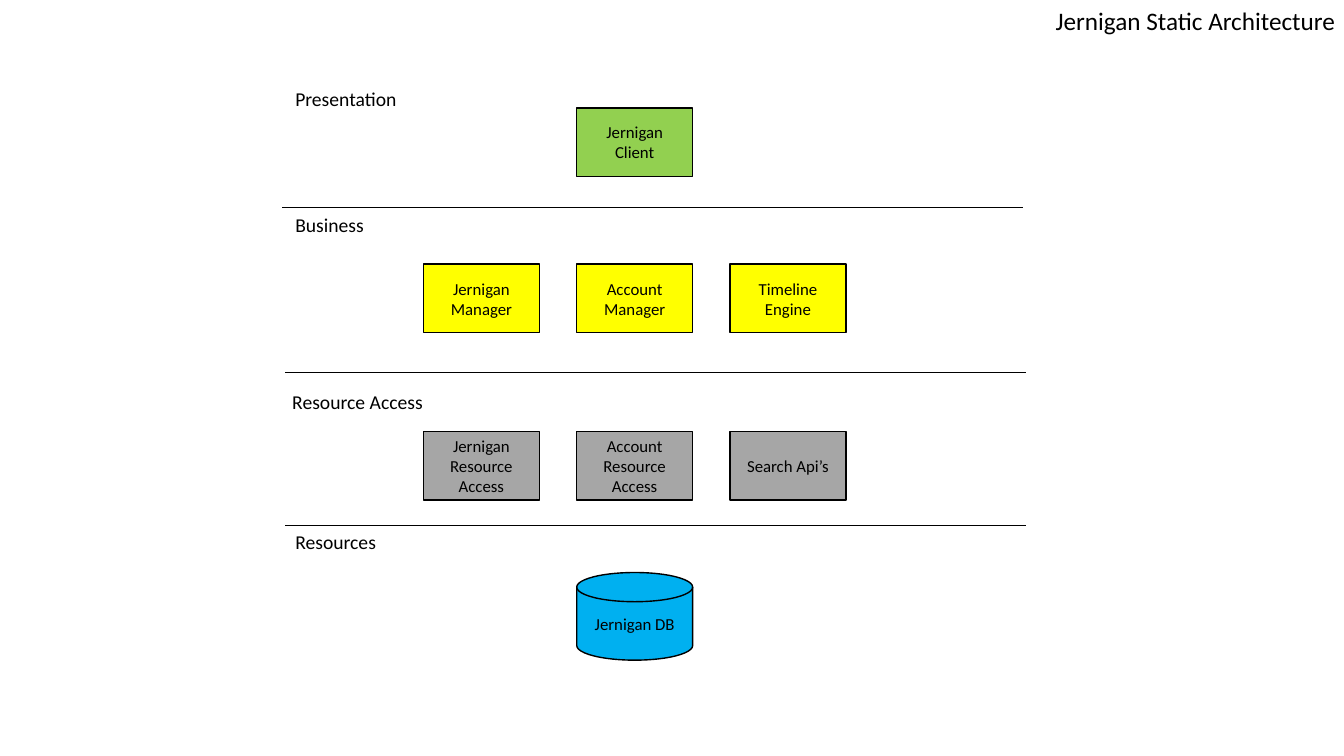
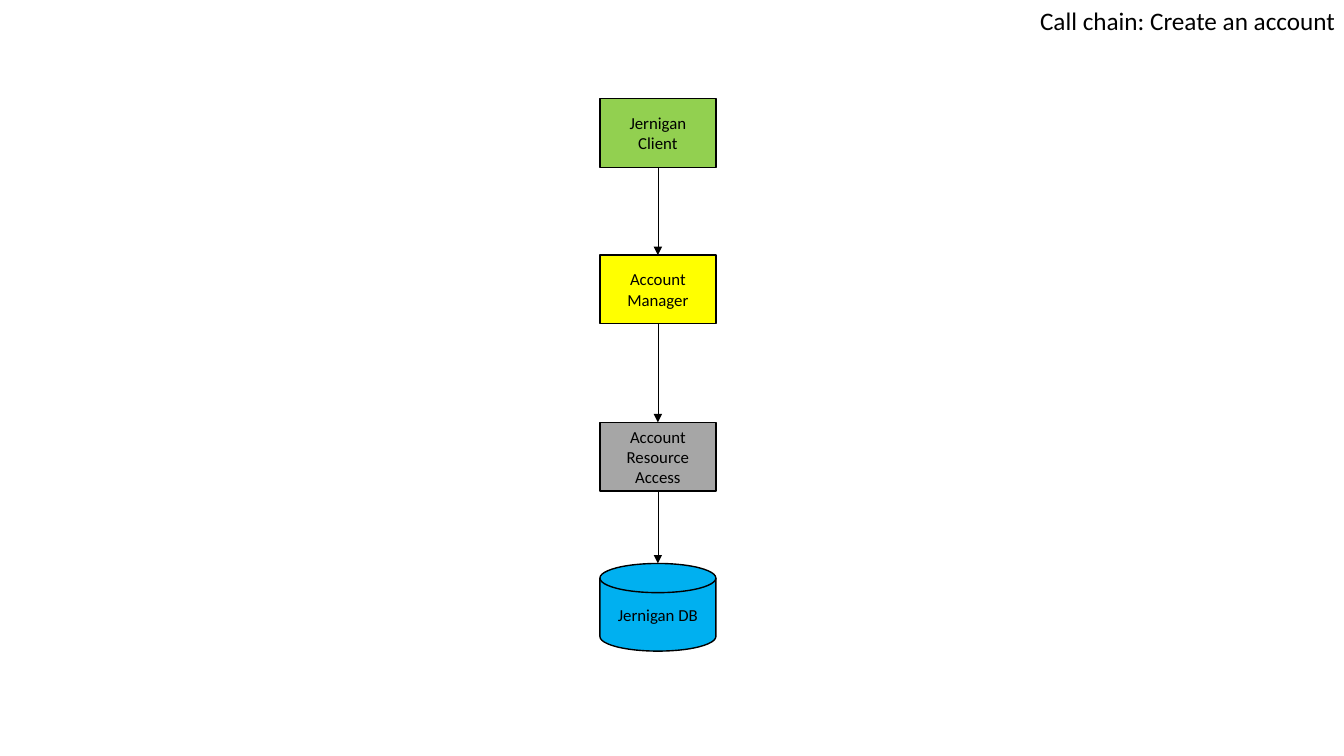
from itertools import pairwise
from lxml import etree
from pptx import Presentation
from pptx.dml.color import RGBColor
from pptx.enum.shapes import MSO_CONNECTOR, MSO_SHAPE
from pptx.enum.text import MSO_ANCHOR, PP_ALIGN
from pptx.oxml.ns import qn
from pptx.util import Inches, Pt

RECT, DISK = MSO_SHAPE.RECTANGLE, MSO_SHAPE.FLOWCHART_MAGNETIC_DISK
LINE = MSO_CONNECTOR.STRAIGHT
LEFT, MID, RIGHT = PP_ALIGN.LEFT, PP_ALIGN.CENTER, PP_ALIGN.RIGHT
TOP, CENTRE = MSO_ANCHOR.TOP, MSO_ANCHOR.MIDDLE

# Content: each layer has a name, label place, box top, and boxes by column
INK = "000000"
LAYERS = [
    ("Presentation", (2.83, 0.81), 1.07, {1: "Jernigan Client"}),
    ("Business", (2.83, 2.06), 2.62,
     {0: "Jernigan Manager", 1: "Account Manager", 2: "Timeline Engine"}),
    ("Resource Access", (2.8, 3.82), 4.28,
     {0: "Jernigan Resource Access", 1: "Account Resource Access",
      2: "Search Api’s"}),
    ("Resources", (2.83, 5.21), 5.68, {1: "Jernigan DB"}),
]
STYLES = [  # shape, fill, height of the boxes in each layer
    (RECT, "92D050", 0.68), (RECT, "FFFF00", 0.68),
    (RECT, "A6A6A6", 0.68), (DISK, "00B0F0", 0.87),
]
RULES = [(2.8, 2.06), (2.83, 3.69), (2.83, 5.21)]
TITLES = ["Jernigan Static Architecture", "Call chain: Create an account"]

# Grid
WIDE, HIGH = 13.33, 7.5
COL, STEP, BOX = 4.2, 1.52, 1.15
SPAN = 7.35
CHAIN, LIFT = 5.95, 0.09

deck = Presentation()
deck.slide_width, deck.slide_height = Inches(WIDE), Inches(HIGH)


def paint(code):
    return RGBColor.from_string(code)


def write(shape, text, size, align, anchor):
    frame = shape.text_frame
    frame.word_wrap = True
    frame.vertical_anchor = anchor
    para = frame.paragraphs[0]
    para.alignment = align
    run = para.add_run()
    run.text = text
    for key, value in {"name": "Calibri", "size": Pt(size)}.items():
        setattr(run.font, key, value)
    run.font.color.rgb = paint(INK)


def label(slide, text, place, size, align=LEFT, anchor=TOP):
    shape = slide.shapes.add_textbox(*map(Inches, place))
    write(shape, text, size, align, anchor)


def box(slide, text, x, y, style):
    kind, fill, tall = style
    shape = slide.shapes.add_shape(kind, *map(Inches, (x, y, BOX, tall)))
    shape.shadow.inherit = False
    shape.fill.solid()
    shape.fill.fore_color.rgb = paint(fill)
    shape.line.color.rgb = paint(INK)
    shape.line.width = Pt(1)
    write(shape, text, 12, MID, CENTRE)
    return shape


def rule(slide, *ends):
    line = slide.shapes.add_connector(LINE, *ends)
    line.line.color.rgb = paint(INK)
    line.line.width = Pt(0.5)
    etree.SubElement(line._element.spPr, qn("a:effectLst"))
    return line


def arrow(slide, above, below):
    x = above.left + above.width // 2
    line = rule(slide, x, above.top + above.height, x, below.top)
    line.begin_connect(above, 2)
    # The top joint of a disk is number 1; of a rectangle, 0
    line.end_connect(below, int(below.auto_shape_type == DISK))
    line.end_x, line.end_y = x, below.top
    etree.SubElement(line.line._get_or_add_ln(), qn("a:tailEnd"),
                     type="triangle")


def page(title):
    slide = deck.slides.add_slide(deck.slide_layouts[6])
    label(slide, title, (7.82, 0, 5.52, 0.4), 18, RIGHT, CENTRE)
    return slide


layers, chain = map(page, TITLES)

# Layered architecture
for (name, place, top, parts), style in zip(LAYERS, STYLES):
    label(layers, name, (*place, 1.99, 0.34), 14)
    for col, text in parts.items():
        box(layers, text, COL + col * STEP, top, style)
for x, y in RULES:
    rule(layers, *map(Inches, (x, y, x + SPAN, y)))

# Call chain: the middle column of every layer
steps = [box(chain, parts[1], CHAIN, top - LIFT, style)
         for (_, _, top, parts), style in zip(LAYERS, STYLES)]
for above, below in pairwise(steps):
    arrow(chain, above, below)

deck.save("out.pptx")
